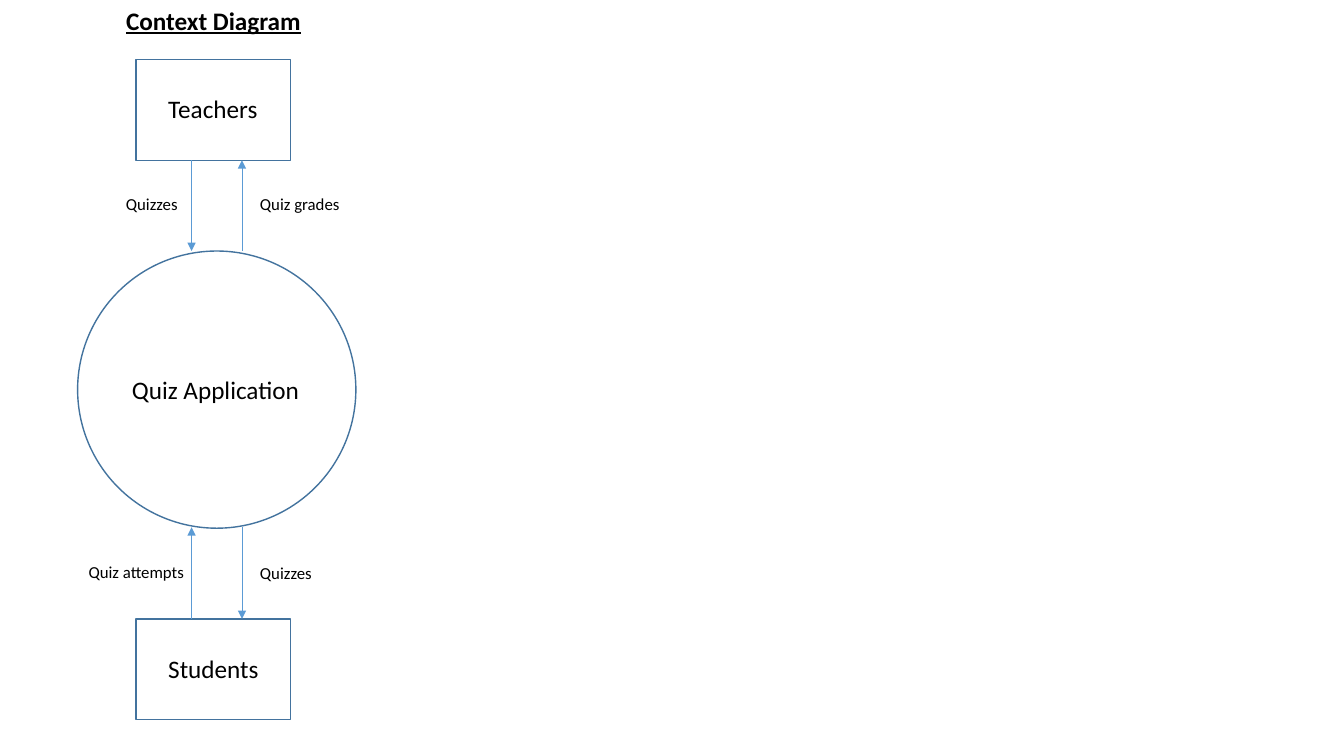
from pptx import Presentation
from pptx.dml.color import RGBColor
from pptx.enum.shapes import MSO_CONNECTOR, MSO_SHAPE
from pptx.enum.text import MSO_ANCHOR, MSO_AUTO_SIZE, PP_ALIGN
from pptx.oxml.ns import qn
from pptx.util import Inches, Pt
from lxml import etree

COLORS = {"outline": "43739E", "arrow": "5B9BD5", "text": "000000"}
FONT = "Calibri"

# Content: entities as shape, left, top, width, height
TITLE = ("Context Diagram", 1.15, 0, 1.95)
ENTITIES = [
    (MSO_SHAPE.OVAL, 0.77, 2.49, 2.76, 2.75),
    (MSO_SHAPE.RECTANGLE, 1.35, 0.59, 1.53, 1),
    (MSO_SHAPE.RECTANGLE, 1.35, 6.14, 1.53, 1),
]
# Labels as text, left, top, width
ENTITY_NAMES = [
    ("Quiz Application", 1.21, 3.66, 1.88),
    ("Teachers", 1.57, 0.88, 1.1),
    ("Students", 1.57, 6.43, 1.11),
]
FLOW_NAMES = [
    ("Quizzes", 1.15, 1.87, 0.72),
    ("Quiz grades", 2.48, 1.87, 1),
    ("Quizzes", 2.48, 5.53, 0.72),
    ("Quiz attempts", 0.78, 5.52, 1.16),
]
# Arrows run in two columns between the edges of neighbouring entities
LEFT_X, RIGHT_X = 1.9, 2.4
TEACHERS_EDGE, APP_TOP, APP_BOTTOM, STUDENTS_EDGE = 1.59, 2.49, 5.23, 6.14
FLOWS = [
    (RIGHT_X, APP_TOP, TEACHERS_EDGE),
    (LEFT_X, STUDENTS_EDGE, APP_BOTTOM),
    (LEFT_X, TEACHERS_EDGE, APP_TOP),
    (RIGHT_X, APP_BOTTOM, STUDENTS_EDGE),
]


def color(name):
    return RGBColor.from_string(COLORS[name])


def write(box, text, size=18, bold=False, underline=False):
    frame = box.text_frame
    frame.word_wrap = False
    frame.auto_size = MSO_AUTO_SIZE.SHAPE_TO_FIT_TEXT
    frame.vertical_anchor = MSO_ANCHOR.TOP
    para = frame.paragraphs[0]
    para.alignment = PP_ALIGN.LEFT
    span = para.add_run()
    span.text = text
    span.font.name = FONT
    span.font.size = Pt(size)
    span.font.bold = bold
    span.font.underline = underline
    span.font.color.rgb = color("text")


deck = Presentation()
deck.slide_width, deck.slide_height = Inches(13.33), Inches(7.5)
page = deck.slides.add_slide(deck.slide_layouts[5])

# Title
text, left, top, width = TITLE
title = page.shapes.title
title.left, title.top = Inches(left), Inches(top)
title.width, title.height = Inches(width), Inches(0.4)
write(title, text, bold=True, underline=True)

# Entities
for kind, *place in ENTITIES:
    entity = page.shapes.add_shape(kind, *map(Inches, place))
    entity.shadow.inherit = False
    entity.fill.background()
    entity.line.color.rgb = color("outline")
    entity.line.width = Pt(1)

# Data flows
for x, start, end in FLOWS:
    arrow = page.shapes.add_connector(
        MSO_CONNECTOR.STRAIGHT, Inches(x), Inches(start), Inches(x), Inches(end))
    arrow.line.color.rgb = color("arrow")
    arrow.line.width = Pt(0.5)
    etree.SubElement(arrow.line._get_or_add_ln(), qn("a:tailEnd"), type="triangle")
    etree.SubElement(arrow._element.spPr, qn("a:effectLst"))

# Labels
for labels, size, height in [(ENTITY_NAMES, 18, 0.4), (FLOW_NAMES, 12, 0.3)]:
    for text, *place in labels:
        box = page.shapes.add_textbox(*map(Inches, place), Inches(height))
        write(box, text, size=size)

deck.save("out.pptx")
